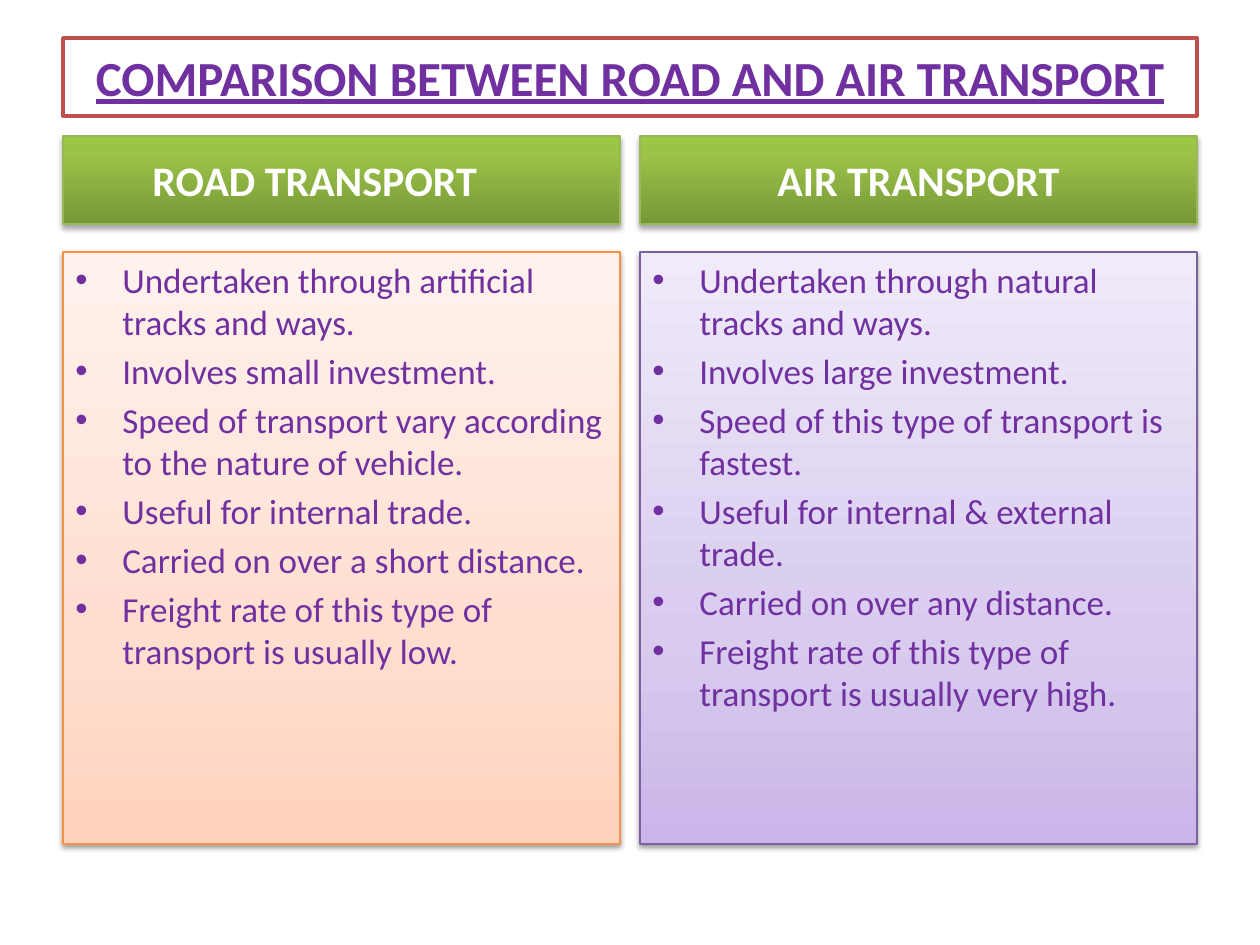
from dataclasses import dataclass

import lxml.etree
import pptx
import pptx.dml.color
import pptx.enum.shapes
import pptx.enum.text
import pptx.oxml.ns
import pptx.util

EMU_PER_PX = 914400 / 126
FONT = "Calibri"
PURPLE, WHITE = "7030A0", "FFFFFF"
MARGIN, GAP, WIDTH = 63, 20, 1134
COLUMN_W = (WIDTH - GAP) // 2
HEADING_Y, HEADING_H = 136, 88
LIST_Y, LIST_H = 252, 592
INDENT = 47
ANCHOR = pptx.enum.text.MSO_ANCHOR
qn = pptx.oxml.ns.qn


@dataclass(frozen=True)
class Style:
    stops: tuple[tuple[int, str], ...]
    line: str
    shadow_alpha: int
    shadow_distance: float


@dataclass(frozen=True)
class Column:
    heading: str
    points: tuple[str, ...]
    style: Style


HEADING = Style(((0, "779737"), (80, "9BC348"), (100, "9DC746")), "98B955", 35, 1.8)
ORANGE = Style(((0, "FFD2BD"), (35, "FFDED0"), (100, "FFF2ED")), "F69240", 38, 1.6)
LILAC = Style(((0, "C9B5E8"), (35, "D8CBEE"), (100, "F0EAF9")), "7D60A0", 38, 1.6)

COLUMNS = (
    Column("ROAD TRANSPORT\t", (
        "Undertaken through artificial tracks and ways.",
        "Involves small investment.",
        "Speed of transport vary according to the nature of vehicle.",
        "Useful for internal trade.",
        "Carried on over a short distance.",
        "Freight rate of this type of transport is usually low.",
    ), ORANGE),
    Column("AIR TRANSPORT", (
        "Undertaken through natural tracks and ways.",
        "Involves large investment.",
        "Speed of this type of transport is fastest.",
        "Useful for internal & external trade.",
        "Carried on over any distance.",
        "Freight rate of this type of transport is usually very high.",
    ), LILAC),
)


def px(n: int) -> pptx.util.Emu:
    return pptx.util.Emu(round(n * EMU_PER_PX))


def rgb(color: str) -> pptx.dml.color.RGBColor:
    return pptx.dml.color.RGBColor.from_string(color)


def add_child(parent, tag: str, **attrs):
    return lxml.etree.SubElement(parent, qn(tag), {k: str(v) for k, v in attrs.items()})


def add_box(slide, x: int, y: int, w: int, h: int, line: str, line_pt: float):
    s = slide.shapes.add_shape(pptx.enum.shapes.MSO_SHAPE.RECTANGLE, px(x), px(y), px(w), px(h))
    s.shadow.inherit = False
    s.line.color.rgb = rgb(line)
    s.line.width = pptx.util.Pt(line_pt)
    s.text_frame.word_wrap = True
    return s


def add_styled_box(slide, x: int, y: int, h: int, style: Style):
    """Add a column-wide box with a vertical gradient and a soft shadow below."""
    s = add_box(slide, x, y, COLUMN_W, h, style.line, 0.75)
    s.fill.gradient()
    s.fill.gradient_angle = 90
    props = s.element.spPr
    stops = props.find(qn("a:gradFill")).find(qn("a:gsLst"))
    for old in list(stops):
        stops.remove(old)
    for position, color in style.stops:
        stop = add_child(stops, "a:gs", pos=position * 1000)
        add_child(stop, "a:srgbClr", val=color)
    shadow = add_child(props.find(qn("a:effectLst")), "a:outerShdw",
                       blurRad=pptx.util.Pt(3.1), dist=pptx.util.Pt(style.shadow_distance),
                       dir=90 * 60000, rotWithShape=0)
    color = add_child(shadow, "a:srgbClr", val="000000")
    add_child(color, "a:alpha", val=style.shadow_alpha * 1000)
    return s


def add_run(p, text: str, size: int, color: str, bold: bool = False, underline: bool = False) -> None:
    r = p.add_run()
    r.text = text
    r.font.name = FONT
    r.font.size = pptx.util.Pt(size)
    r.font.bold = bold
    r.font.underline = underline
    r.font.color.rgb = rgb(color)


def write_centred(s, text: str, size: int, color: str, underline: bool = False) -> None:
    s.text_frame.vertical_anchor = ANCHOR.MIDDLE
    p = s.text_frame.paragraphs[0]
    p.alignment = pptx.enum.text.PP_ALIGN.CENTER
    add_run(p, text, size, color, bold=True, underline=underline)


def write_bullets(s, points: tuple[str, ...]) -> None:
    tf = s.text_frame
    tf.vertical_anchor = ANCHOR.TOP
    for i, point in enumerate(points):
        p = tf.add_paragraph() if i else tf.paragraphs[0]
        p.alignment = pptx.enum.text.PP_ALIGN.LEFT
        p.space_before = pptx.util.Pt(4 if i else 0)
        props = p._p.get_or_add_pPr()
        props.set("marL", str(px(INDENT)))
        props.set("indent", str(-px(INDENT)))
        add_child(props, "a:buFont", typeface="Arial")
        add_child(props, "a:buChar", char="•")
        add_run(p, point, 20, PURPLE)


def add_column(slide, x: int, column: Column) -> None:
    heading = add_styled_box(slide, x, HEADING_Y, HEADING_H, HEADING)
    write_centred(heading, column.heading, 24, WHITE)
    write_bullets(add_styled_box(slide, x, LIST_Y, LIST_H, column.style), column.points)


def main() -> None:
    prs = pptx.Presentation()
    prs.slide_width, prs.slide_height = px(1260), px(945)
    slide = prs.slides.add_slide(prs.slide_layouts[6])

    title = add_box(slide, MARGIN, 38, WIDTH, 78, "C0504D", 2)
    title.fill.solid()
    title.fill.fore_color.rgb = rgb(WHITE)
    write_centred(title, "COMPARISON BETWEEN ROAD AND AIR TRANSPORT", 28, PURPLE, underline=True)

    for i, column in enumerate(COLUMNS):
        add_column(slide, MARGIN + i * (COLUMN_W + GAP), column)
    prs.save("out.pptx")


if __name__ == "__main__":
    main()
